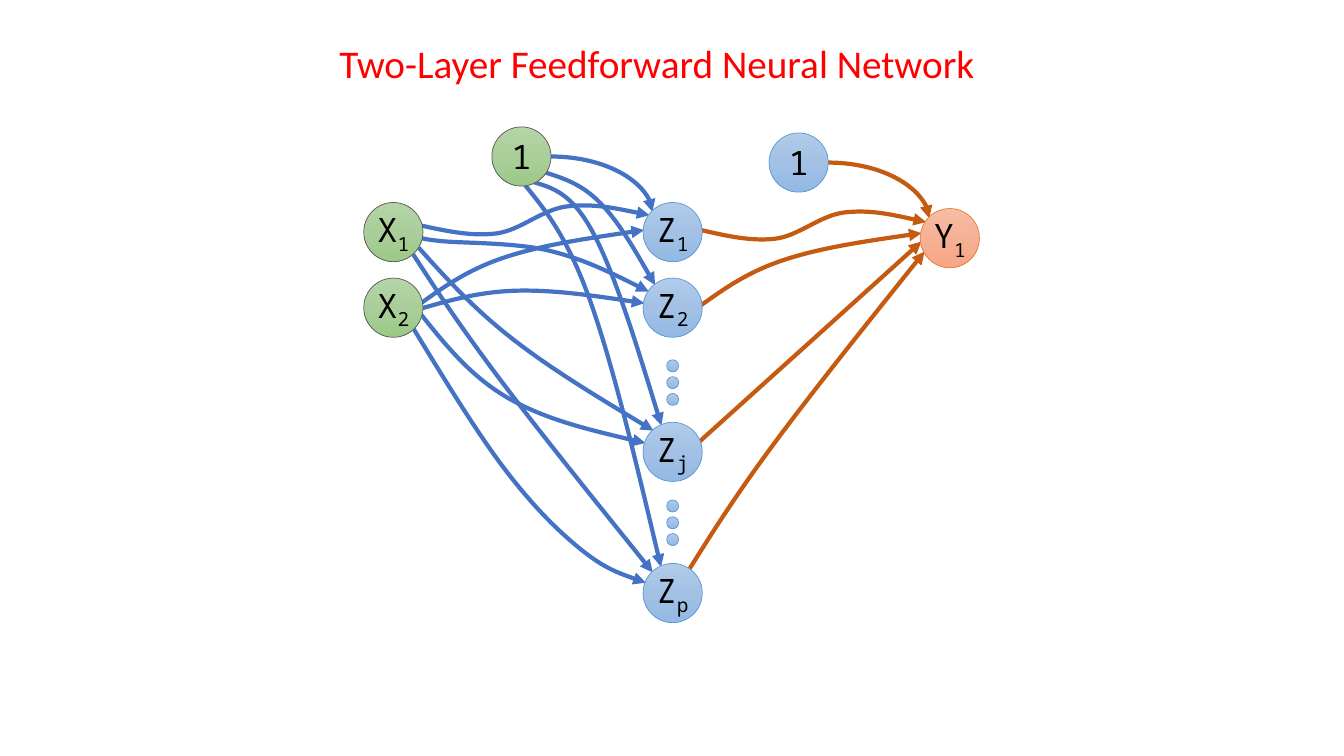
"""Build a slide that shows a two-layer feedforward neural network."""
from copy import deepcopy
from math import cos, radians, sin

from lxml.etree import SubElement
from pptx import Presentation
from pptx.dml.color import RGBColor
from pptx.enum.shapes import MSO_CONNECTOR as Connector, MSO_SHAPE as Preset
from pptx.enum.text import MSO_ANCHOR as Anchor, MSO_AUTO_SIZE as AutoSize, PP_ALIGN as Align
from pptx.oxml.ns import qn
from pptx.util import Pt

color = RGBColor.from_string
GREEN = (("B5D5A7", "AACE9A", "9CC987"), "595959")
BLUE = (("B1CBE9", "A3C1E5", "93B9E4"), "5B9BD5")
SALMON = (("F7BDA5", "F5B196", "F8A582"), "ED7D31")
TO_HIDDEN, TO_OUTPUT = "4472C4", "C55A11"
NODE_SIZE, DOT_SIZE, DOT_STEP = 42.3, 8.6, 12
RIM_RADIUS = 20.5
INPUT_X, HIDDEN_X, OUTPUT_X = 281, 480.5, 678.5
FIRST_ROW, SECOND_ROW = 165.8, 219.8

# Each node: letter, subscript, centre x, centre y, palette
nodes = {
    "input bias": ("1", "", 372.5, 111.8, GREEN),
    "X1": ("X", "1", INPUT_X, FIRST_ROW, GREEN),
    "X2": ("X", "2", INPUT_X, SECOND_ROW, GREEN),
    "hidden bias": ("1", "", 570.5, 116.1, BLUE),
    "Z1": ("Z", "1", HIDDEN_X, FIRST_ROW, BLUE),
    "Z2": ("Z", "2", HIDDEN_X, SECOND_ROW, BLUE),
    "Zj": ("Z", "j", HIDDEN_X, 322.8, BLUE),
    "Zp": ("Z", "p", HIDDEN_X, 423.6, BLUE),
    "Y1": ("Y", "1", OUTPUT_X, 170.1, SALMON),
}

QUARTER_TURN, STRAIGHT = "curvedConnector2", "line"
WAVE = [(0.33, -8), (0.64, 9)]
ARCH = [(0.38, 13)]

# Each link: source, leaving angle, target, arriving angle, course.
# A course is a connector preset or a list of bends (share of the way, lift above the chord).
links = [
    ("Zj", -21, "Y1", 173, STRAIGHT),
    ("input bias", 0, "Z1", 225, QUARTER_TURN),
    ("input bias", 34, "Z2", 232, [(0.5, 18.5)]),
    ("input bias", 64, "Zj", 247, [(0.47, 44.5)]),
    ("input bias", 83, "Zp", 246, [(0.48, 48)]),
    ("X1", -13, "Z1", 216, WAVE),
    ("X1", 9, "Z2", 214, [(0.08, 0), (0.56, 12)]),
    ("X1", 31, "Zj", 228, [(0.4, -13)]),
    ("X1", 48, "Zp", 226, [(0.36, -7)]),
    ("X2", -10, "Z1", 184, ARCH),
    ("X2", 1, "Z2", 189, [(0.43, 11)]),
    ("X2", 14, "Zj", 198, [(0.39, -24)]),
    ("X2", 46, "Zp", 201, [(0.39, -29), (0.72, -27)]),
    ("hidden bias", 0, "Y1", 224, QUARTER_TURN),
    ("Z1", -4, "Y1", 214, WAVE),
    ("Z2", -5, "Y1", 190, ARCH),
    ("Zp", -55, "Y1", 152, [(0.36, 8)]),
]


def rim_point(name, angle):
    center_x, center_y = nodes[name][2:4]
    return (center_x + RIM_RADIUS * cos(radians(angle)),
            center_y + RIM_RADIUS * sin(radians(angle)))


def add_circle(shapes, center_x, center_y, size, palette):
    stop_colors, outline = palette
    circle = shapes.add_shape(
        Preset.OVAL, Pt(center_x - size / 2), Pt(center_y - size / 2), Pt(size), Pt(size))
    circle.shadow.inherit = False
    circle.fill.gradient()
    circle.fill.gradient_angle = 270
    first_stop = circle._element.spPr.find(".//" + qn("a:gs"))
    first_stop.addnext(deepcopy(first_stop))
    for index, stop in enumerate(circle.fill.gradient_stops):
        stop.position = index / 2
        stop.color.rgb = color(stop_colors[index])
    circle.line.color.rgb = color(outline)
    circle.line.width = Pt(0.5)
    return circle


deck = Presentation()
deck.slide_width, deck.slide_height = Pt(960), Pt(540)
page = deck.slides.add_slide(deck.slide_layouts[6])

for middle_dot_y in (273.3, 373.4):
    dots = page.shapes.add_group_shape()
    for step in (-1, 0, 1):
        add_circle(dots.shapes, HIDDEN_X, middle_dot_y + step * DOT_STEP, DOT_SIZE, BLUE)

for source, leaving, target, arriving, course in links:
    start, end = rim_point(source, leaving), rim_point(target, arriving)
    width, height = end[0] - start[0], end[1] - start[1]
    if course in (STRAIGHT, QUARTER_TURN):
        kind = Connector.STRAIGHT if course == STRAIGHT else Connector.CURVE
        arrow = page.shapes.add_connector(kind, *[Pt(value) for value in start + end])
        arrow._element.spPr.find(qn("a:prstGeom")).set("prst", course)
    else:
        bends = [(start[0] + share * width, start[1] + share * height - lift)
                 for share, lift in course]
        knots = [start, *bends, end]
        smooth = []
        for before, knot, after in zip(knots, knots[1:], knots[2:]):
            for pull in (-1 / 6, 0, 1 / 6):
                smooth.append(tuple(k + pull * (a - b) for b, k, a in zip(before, knot, after)))
        first_control = tuple((a + b) / 2 for a, b in zip(start, smooth[0]))
        last_control = tuple((a + b) / 2 for a, b in zip(smooth[-1], end))
        points = [first_control, *smooth, last_control, end]

        builder = page.shapes.build_freeform(Pt(start[0]), Pt(start[1]))
        builder.add_line_segments([(Pt(x), Pt(y)) for x, y in points], close=False)
        arrow = builder.convert_to_shape()
        arrow.fill.background()
        outline = arrow._element.spPr.find(".//" + qn("a:path"))
        segments = outline.findall(qn("a:lnTo"))
        for first in range(0, len(segments), 3):
            bezier = SubElement(outline, qn("a:cubicBezTo"))
            for segment in segments[first:first + 3]:
                bezier.append(segment[0])
                outline.remove(segment)
    arrow.line.color.rgb = color(TO_OUTPUT if target == "Y1" else TO_HIDDEN)
    arrow.line.width = Pt(3)
    properties = arrow._element.spPr
    SubElement(properties.find(qn("a:ln")), qn("a:tailEnd"), type="triangle")
    SubElement(properties, qn("a:effectLst"))

for letter, subscript, center_x, center_y, palette in nodes.values():
    node = add_circle(page.shapes, center_x, center_y, NODE_SIZE, palette)
    frame = node.text_frame
    frame.margin_left = frame.margin_right = frame.margin_top = frame.margin_bottom = 0
    frame.vertical_anchor = Anchor.MIDDLE
    para = frame.paragraphs[0]
    para.alignment = Align.CENTER
    for text, baseline in ((letter, "0"), (subscript, "-25000")):
        if text:
            span = para.add_run()
            span.text = text
            span.font.name = "Noto Sans Mono"
            span.font.size = Pt(24)
            span.font.color.rgb = color("000000")
            span._r.get_or_add_rPr().set("baseline", baseline)

title = page.shapes.add_textbox(Pt(235.4), Pt(24.5), Pt(473), Pt(41))
title.text_frame.word_wrap = False
title.text_frame.auto_size = AutoSize.SHAPE_TO_FIT_TEXT
span = title.text_frame.paragraphs[0].add_run()
span.text = "Two-Layer Feedforward Neural Network"
span.font.name = "Calibri"
span.font.size = Pt(28)
span.font.color.rgb = color("FF0000")

deck.save("out.pptx")
